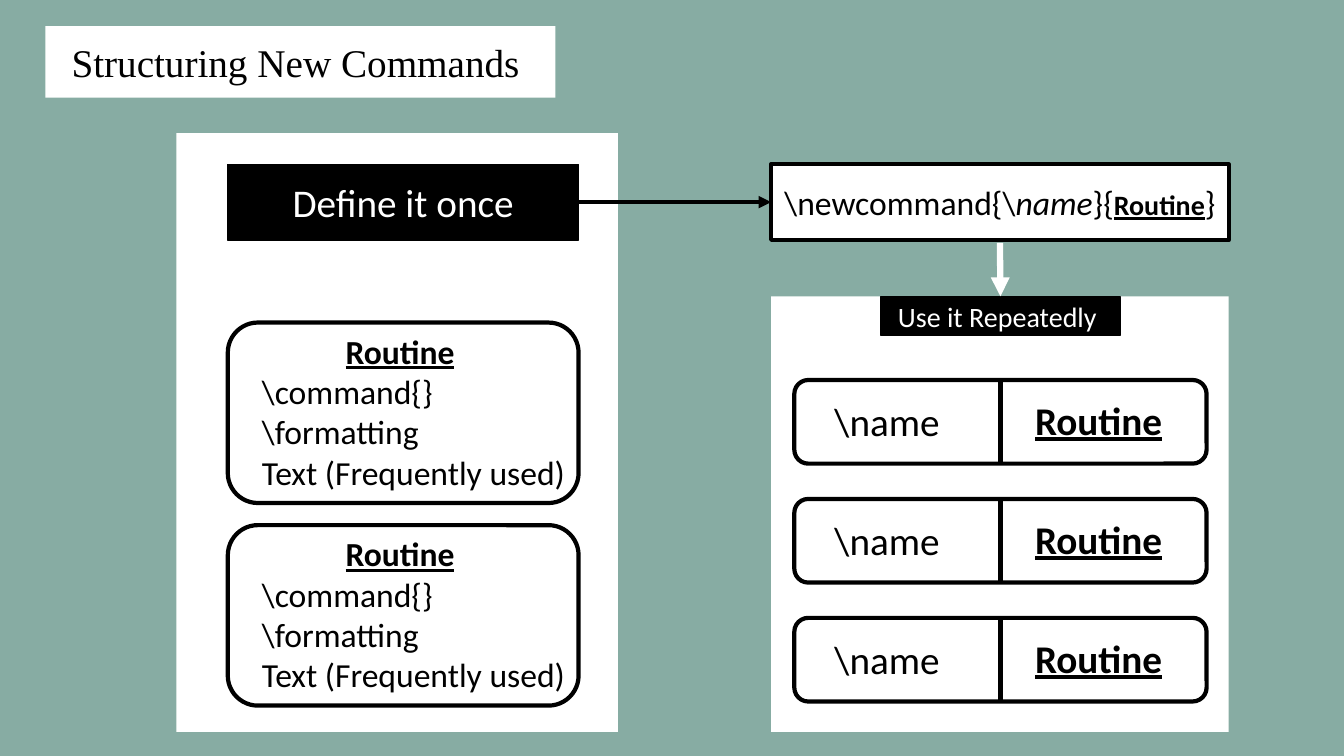
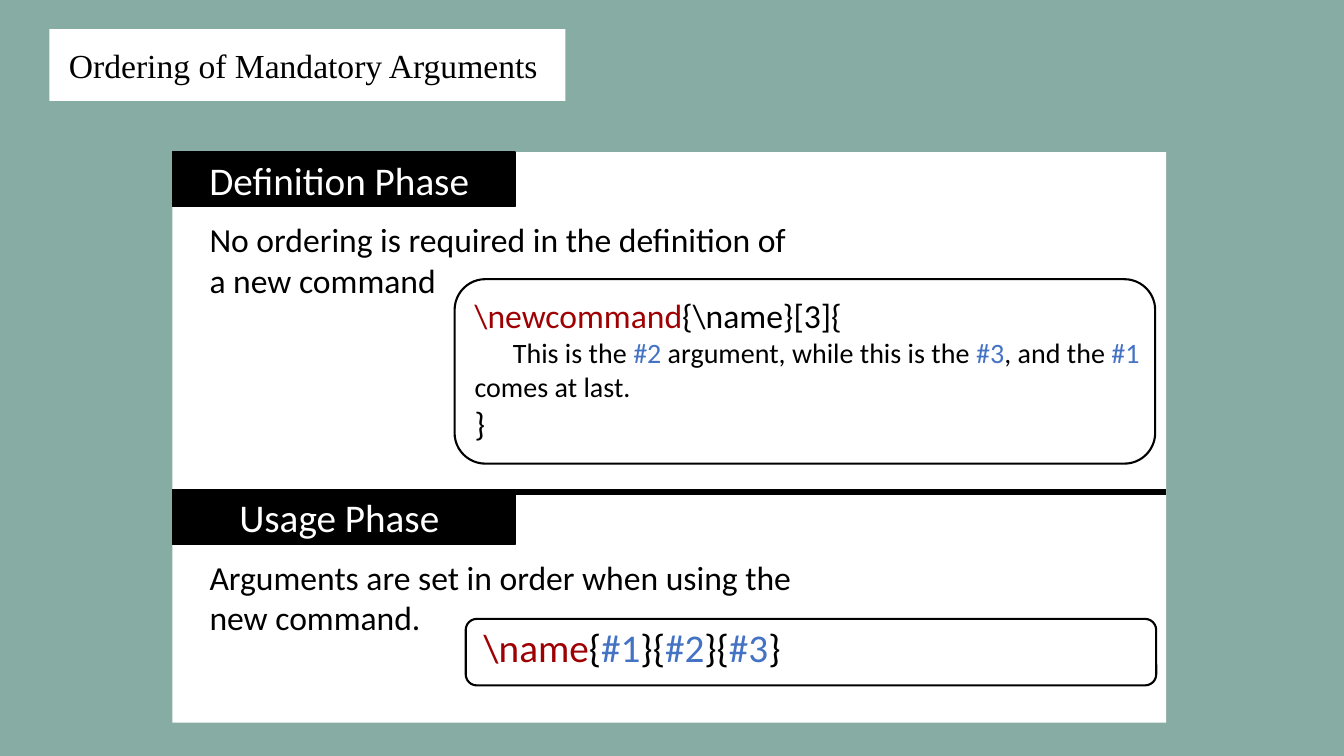
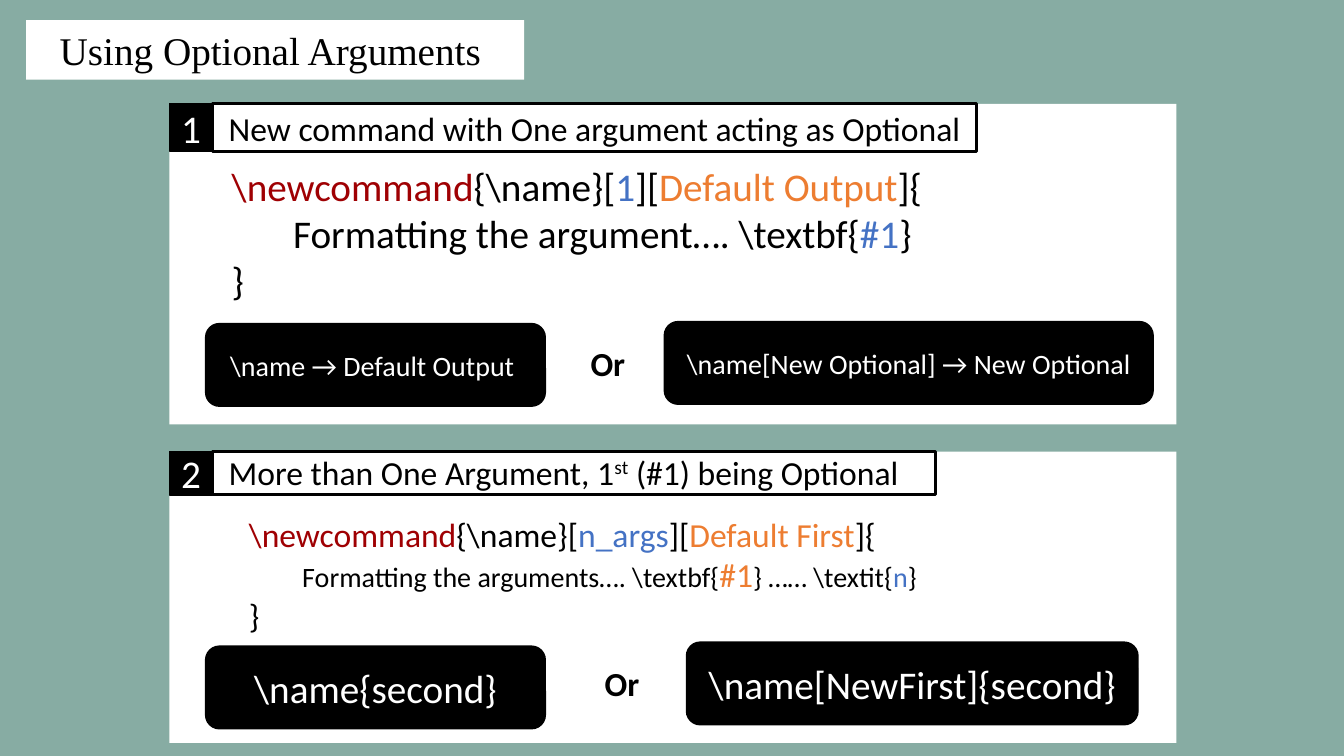
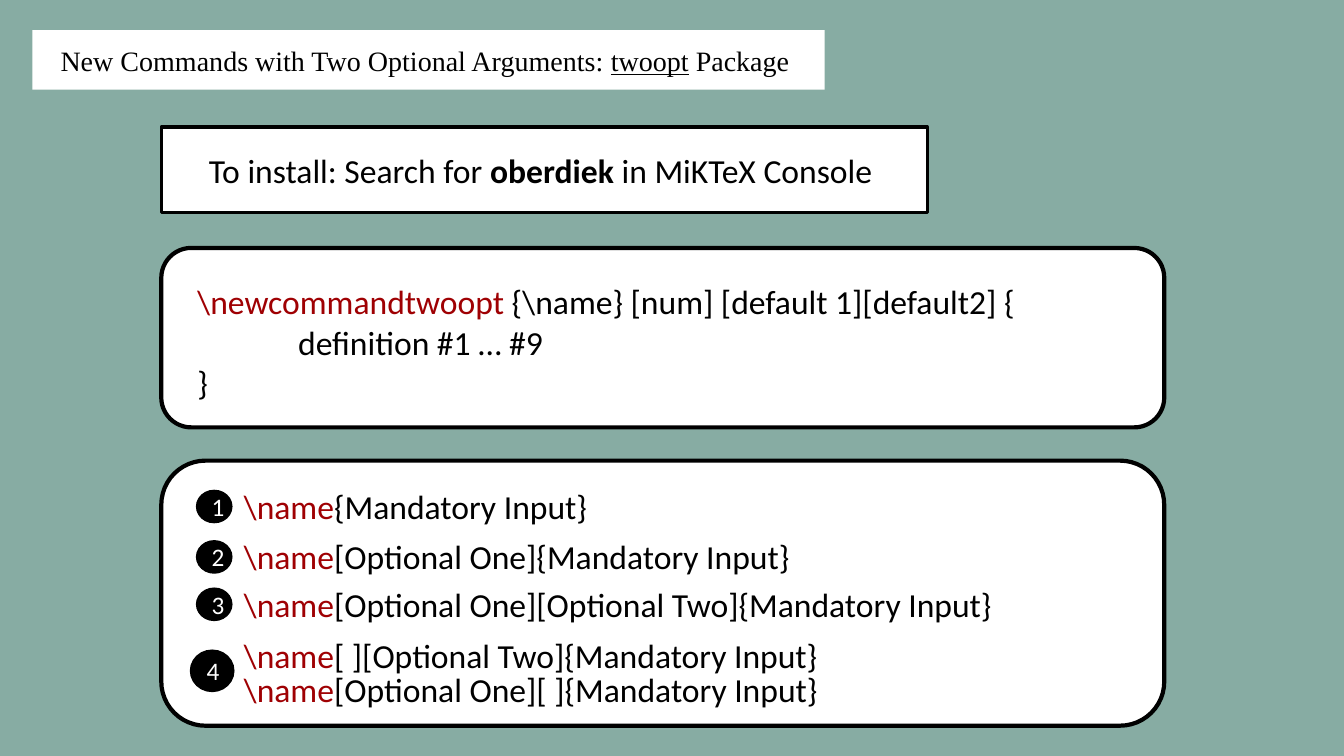
from lxml import etree
from pptx import Presentation
from pptx.dml.color import RGBColor
from pptx.enum.shapes import MSO_CONNECTOR, MSO_SHAPE
from pptx.enum.text import MSO_ANCHOR, MSO_AUTO_SIZE, PP_ALIGN
from pptx.oxml.ns import qn
from pptx.util import Inches, Pt

# Shared style
SAGE = RGBColor(0x87, 0xAC, 0xA3)
WHITE = RGBColor(0xFF, 0xFF, 0xFF)
BLACK = RGBColor(0x00, 0x00, 0x00)
RED = RGBColor(0x9F, 0x00, 0x03)
BLUE = RGBColor(0x44, 0x72, 0xC4)
ORANGE = RGBColor(0xED, 0x7D, 0x31)
BODY_FONT, TITLE_FONT = "Calibri", "Times New Roman"
RECT, ROUND, OVAL = MSO_SHAPE.RECTANGLE, MSO_SHAPE.ROUNDED_RECTANGLE, MSO_SHAPE.OVAL
STRAIGHT = MSO_CONNECTOR.STRAIGHT
LEFT, CENTER = PP_ALIGN.LEFT, PP_ALIGN.CENTER
MIDDLE = MSO_ANCHOR.MIDDLE
NO_FIT, GROW = MSO_AUTO_SIZE.NONE, MSO_AUTO_SIZE.SHAPE_TO_FIT_TEXT
TOP, SIDE_LEFT, BOTTOM, SIDE_RIGHT = range(4)
TITLE_ONLY = 5

# Run formats
CMD = {"color": RED}
ARG = {"color": BLUE}
OPT = {"color": ORANGE}
BOLD = {"bold": True}
KEY = {"bold": True, "underline": True}

# Grid of 133.33 columns by 75 rows
CELL = Inches(0.1)


def grid(*cells):
    return [int(c * CELL) for c in cells]


def write(tf, lines, size=24, color=BLACK, font=BODY_FONT, align=LEFT, indents=None, **fmt):
    """Each line is a string or a list of strings and (string, format) pairs.

    indents maps a line number to its first-line indent in columns."""
    for i, line in enumerate(lines):
        p = tf.paragraphs[0] if i == 0 else tf.add_paragraph()
        p.alignment = align
        if indents and i in indents:
            p._p.get_or_add_pPr().set("indent", str(grid(indents[i])[0]))
        for piece in [line] if isinstance(line, str) else line:
            text, own = (piece, {}) if isinstance(piece, str) else piece
            look = {"size": size, "color": color, **fmt, **own}
            r = p.add_run()
            r.text = text
            r.font.name = font
            r.font.size = Pt(look["size"])
            r.font.color.rgb = look["color"]
            r.font.bold = look.get("bold")
            r.font.italic = look.get("italic")
            r.font.underline = look.get("underline")
            if look.get("raised"):
                r._r.get_or_add_rPr().set("baseline", "30000")


class Deck:
    def __init__(self):
        self.prs = Presentation()
        self.prs.slide_width, self.prs.slide_height = Inches(13.333), Inches(7.5)
        fill = self.prs.slide_master.background.fill
        fill.solid()
        fill.fore_color.rgb = SAGE

    def slide(self, at, *title, size=28):
        """Start a slide with its title on a white rounded band."""
        self.s = self.prs.slides.add_slide(self.prs.slide_layouts[TITLE_ONLY])
        sp = self.s.shapes.title
        sp.left, sp.top, sp.width, sp.height = grid(*at)
        geom = etree.SubElement(sp._element.spPr, qn("a:prstGeom"), prst="roundRect")
        etree.SubElement(geom, qn("a:avLst"))
        sp.fill.solid()
        sp.fill.fore_color.rgb = WHITE
        tf = sp.text_frame
        tf.auto_size, tf.vertical_anchor = NO_FIT, MIDDLE
        write(tf, [title], size=size, font=TITLE_FONT, align=CENTER)

    def box(self, at, *lines, kind=RECT, fill=WHITE, edge=0, **fmt):
        sp = self.s.shapes.add_shape(kind, *grid(*at))
        sp.shadow.inherit = False
        sp.fill.solid()
        sp.fill.fore_color.rgb = fill
        if edge:
            sp.line.color.rgb = BLACK
            sp.line.width = Pt(edge)
        else:
            sp.line.fill.background()
        write(sp.text_frame, lines, align=CENTER, **fmt)
        return sp

    def label(self, at, text, size=28, kind=RECT):
        return self.box(at, text, kind=kind, fill=BLACK, edge=1, size=size, color=WHITE)

    def text(self, at, *lines, **fmt):
        tf = self.s.shapes.add_textbox(*grid(*at)).text_frame
        tf.word_wrap, tf.auto_size = True, GROW
        write(tf, lines, **fmt)

    def line(self, start, end, color=BLACK, width=3, arrow=False):
        """Each end is a grid point or a (shape, side) pair to join."""
        points = [(0, 0) if hasattr(e[0], "left") else e for e in (start, end)]
        c = self.s.shapes.add_connector(STRAIGHT, *grid(*points[0], *points[1]))
        if hasattr(start[0], "left"):
            c.begin_connect(*start)
        if hasattr(end[0], "left"):
            c.end_connect(*end)
        c.line.color.rgb = color
        c.line.width = Pt(width)
        if arrow:
            etree.SubElement(c.line._get_or_add_ln(), qn("a:tailEnd"), type="triangle")
        etree.SubElement(c._element.spPr, qn("a:effectLst"))


def structuring(d):
    d.slide((4.5, 2.6, 50.6, 7.1), "Structuring New Commands ")

    # Definition column
    d.box((17.5, 13.2, 43.8, 59.4))
    for y in (32, 52.1):
        d.box((22.6, y, 34.8, 17.9), kind=ROUND, edge=3)
        d.text((25, y + 0.3, 37.7, 17.2), [("Routine", KEY)], "\\command{}",
               "\\formatting", "Text (Frequently used)", indents={0: 8.3})
    define = d.label((22.6, 16.3, 34.8, 7.5), "Define it once")
    command = d.box((76.5, 16.3, 45.4, 7.5),
                    ["\\newcommand{\\", ("name", {"italic": True}), "}{",
                     ("Routine", {**KEY, "size": 20}), "}"], edge=3)
    d.line((define, SIDE_RIGHT), (command, SIDE_LEFT), arrow=True)

    # Usage column
    d.box((76.5, 29.4, 45.4, 43.2))
    usage = d.label((87.4, 29.4, 23.7, 3.9), "Use it Repeatedly ", size=20)
    d.line((99.2, 24.1), (usage, TOP), color=WHITE, width=4.5, arrow=True)
    for row in range(3):
        y = 37.7 + 11.8 * row
        pair = d.box((78.8, y, 40.9, 8.3), kind=ROUND, edge=3)
        d.line((pair, TOP), (pair, BOTTOM))
        d.text((81.8, y + 1.2, 15.8, 5.7), "\\name", size=28)
        d.text((101.7, y + 1.1, 18, 5.7), "Routine", size=28, **KEY)


def ordering(d):
    d.slide((4.9, 2.9, 51.2, 7.1), "Ordering of Mandatory Arguments ", size=24)
    d.box((17.1, 15.1, 98.6, 56.6))
    d.line((17.1, 48.8), (115.7, 48.8), width=4.5)
    phases = (
        (15.1, "Definition Phase ", "No ordering is required in the definition of a new command"),
        (48.6, "Usage Phase ", "Arguments are set in order when using the new command."),
    )
    for y, phase, rule in phases:
        d.label((17.1, y, 34, 5.4), phase)
        d.text((19.8, y + 6.15, 60.2, 9.1), rule)

    # Code samples
    d.box((45.1, 27.7, 69.5, 18.3), kind=ROUND, edge=1.5)
    small = {"size": 20}
    number = {**ARG, **small}
    d.text((46.1, 28.8, 69.2, 16.5),
           [("\\newcommand", CMD), "{\\name}[3]{"],
           [("This is the ", small), ("#2", number), (" argument, while this is the ", small),
            ("#3", number), (", and the ", small), ("#1", number), (" comes at last.", small)],
           "}", indents={1: 3.8})
    d.box((46.2, 61.4, 68.5, 6.6), kind=ROUND, edge=1.5)
    d.text((47, 61.3, 68.3, 5.7),
           [("\\name", CMD), "{", ("#1", ARG), "}{", ("#2", ARG), "}{", ("#3", ARG), "}"], size=28)


def optional(d):
    d.slide((2.6, 2, 49.4, 5.9), "Using Optional Arguments ")

    def case(number, y, height, head_height, head_width, head_y, head):
        d.box((16.8, y, 99.9, height))
        d.label((16.8, y, 4.3, head_height), number)
        d.box((21.1, y, head_width, head_height), edge=2.25)
        d.text((21.7, head_y, 77.9, 5), head)

    def choice(first, second, first_y, second_at, or_x, size):
        d.label((20.4, first_y, 33.7, 8.2), first, size, ROUND)
        x, y, width = second_at
        d.label((x, y, width, 8.2), second, size, ROUND)
        d.text((or_x, y + 1.6, 5.9, 5), "Or", **BOLD)

    # One optional argument
    case("1", 10.3, 31.8, 4.7, 75.8, 10.2, "New command with One argument acting as Optional")
    d.text((22, 15.6, 92.9, 15.1),
           [("\\newcommand", CMD), "{\\name}[", ("1", ARG), "][", ("Default Output", OPT), "]{"],
           ["Formatting the argument…. \\textbf{", ("#1", ARG), "}"],
           "}", size=28, indents={1: 6.1})
    choice("\\name → Default Output ", "\\name[New Optional] → New Optional",
           32.1, (65.9, 31.9, 48.5), 57.6, 20)

    # Several arguments, the first optional
    case("2", 44.8, 28.9, 4.3, 71.7, 44.3,
         ["More than One Argument, 1", ("st", {"raised": True}), " (#1) being Optional"])
    small = {"size": 20}
    d.text((23.7, 50.5, 92.9, 13.1),
           [("\\newcommand", CMD), "{\\name}[", ("n_args", ARG), "][", ("Default First", OPT), "]{"],
           [("Formatting the arguments…. \\textbf{", small), ("#1", OPT),
            ("} …… \\textit{", small), ("n", {**ARG, **small}), ("}", small)],
           "}", indents={1: 5.3})
    choice("\\name{second}", "\\name[NewFirst]{second}", 64.1, (68.1, 63.7, 44.8), 59, 28)


def two_optional(d):
    d.slide((3.2, 3, 78.6, 5.9), "New Commands with Two Optional Arguments: ",
            ("twoopt", {"underline": True}), " Package ", size=20)
    d.box((16, 12.6, 76, 8.5),
          ["To install: Search for ", ("oberdiek ", BOLD), "in MiKTeX Console "], edge=2.25)

    # Definition
    d.box((16, 24.6, 99.5, 17.8), kind=ROUND, edge=3)
    d.text((18.6, 27.4, 98.7, 13.1),
           [("\\newcommandtwoopt", CMD), " {\\name} [num] [default 1][default2] {"],
           "definition #1 … #9", "}", indents={1: 10})

    # Ways to call it
    d.box((16, 45.7, 99.5, 26.3), kind=ROUND, edge=3)
    calls = (
        (47.7, "{Mandatory Input}"),
        (52.7, "[Optional One]{Mandatory Input}"),
        (57.4, "[Optional One][Optional Two]{Mandatory Input}"),
        (62.5, "[ ][Optional Two]{Mandatory Input}"),
        (65.9, "[Optional One][ ]{Mandatory Input}"),
    )
    for y, arguments in calls:
        d.text((23.2, y, 91.2, 5), [("\\name", CMD), arguments])
    for number, (y, _) in enumerate(calls[:3], 1):
        d.label((19.5, y + 0.95, 3.5, 3.2), str(number), 18, OVAL)
    d.label((18.9, 64.5, 4.3, 4.1), "4", 18, OVAL)


def main():
    d = Deck()
    for build in (structuring, ordering, optional, two_optional):
        build(d)
    d.prs.save("out.pptx")


if __name__ == "__main__":
    main()
